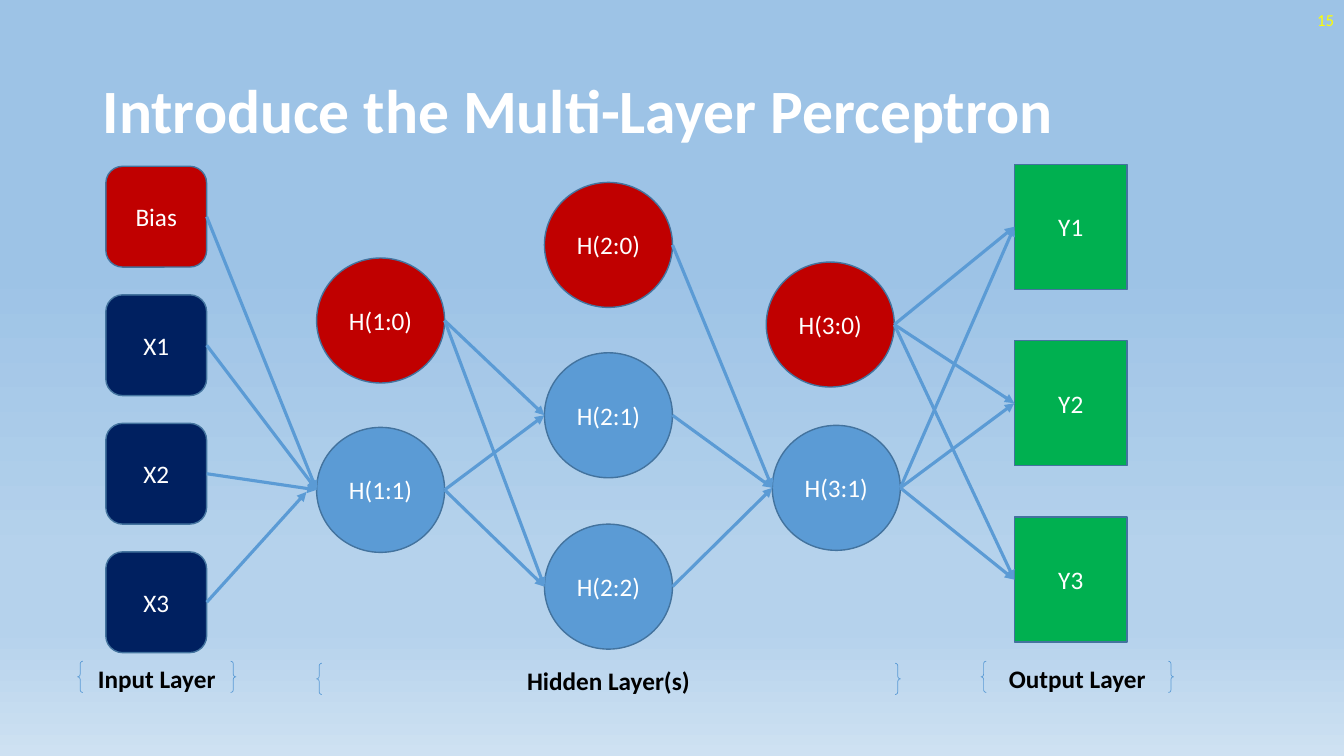
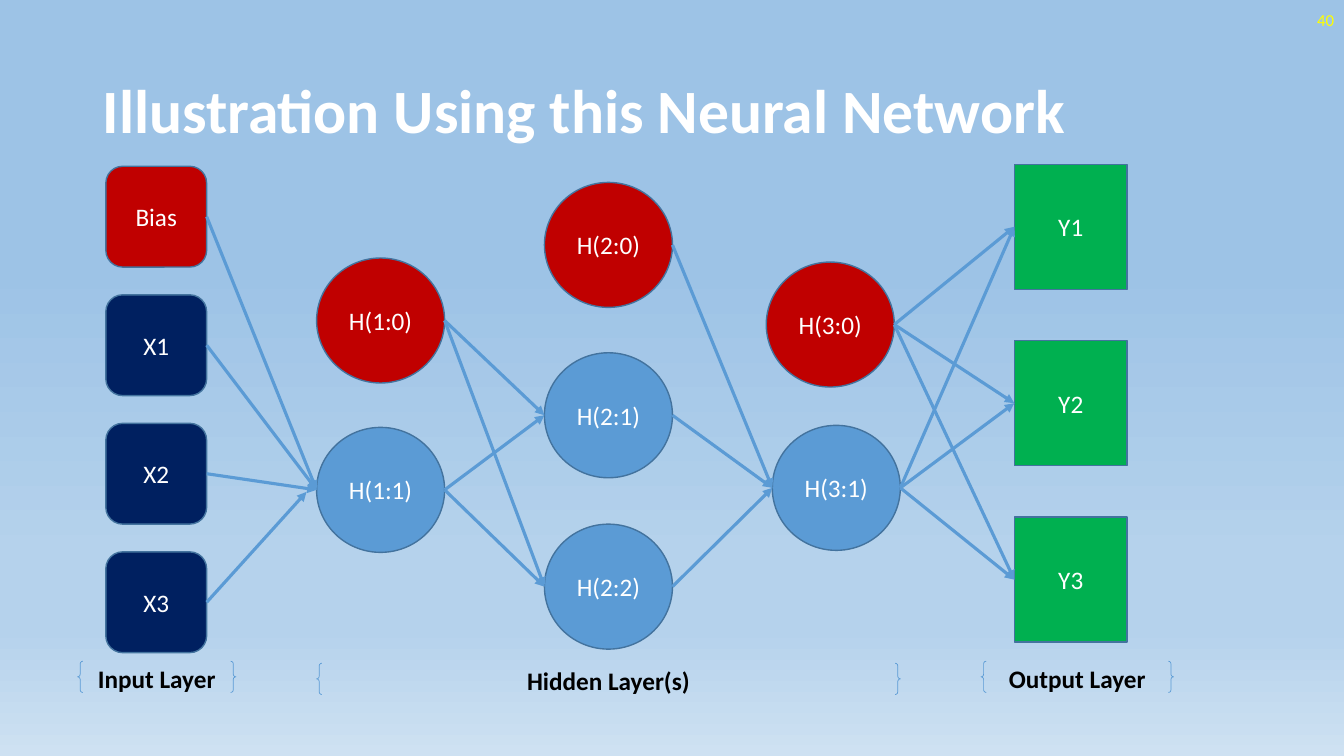
from pptx import Presentation
from pptx import util as u
from pptx.dml import color
from pptx.enum import shapes, text
from pptx.oxml import ns
from lxml import etree

FONT = "Calibri"
WHITE, BLACK, YELLOW = "FFFFFF", "000000", "FFFF00"
RED, NAVY, BLUE, GREEN = "C00000", "002060", "5B9BD5", "00B050"
OUTLINE = "43739E"
BACKGROUND = [(35, "9DC3E6"), (74, "B5D2EC"), (83, "B5D2EC"), (100, "CEE1F2")]

SHAPE = shapes.MSO_SHAPE
ALIGN = text.PP_ALIGN
LEFT_SIDE, RIGHT_SIDE = 1, 3

INPUTS = ["Bias", "X1", "X2", "X3"]
INPUT_TOP, INPUT_STEP = 1.65, 1.275
OUTPUTS = ["Y1", "Y2", "Y3"]
OUTPUT_TOP, OUTPUT_STEP = 1.63, 1.75
HIDDEN = {  # name: left, top
    "H(1:0)": (3.14, 2.56), "H(1:1)": (3.14, 4.24),
    "H(2:0)": (5.4, 1.81), "H(2:1)": (5.4, 3.5), "H(2:2)": (5.4, 5.2),
    "H(3:0)": (7.6, 2.6), "H(3:1)": (7.66, 4.22),
}
# Every source in a group feeds every target in it.
LINKS = [
    (INPUTS, ["H(1:1)"]),
    (["H(1:0)", "H(1:1)"], ["H(2:1)", "H(2:2)"]),
    (["H(2:0)", "H(2:1)", "H(2:2)"], ["H(3:1)"]),
    (["H(3:0)", "H(3:1)"], OUTPUTS),
]
LOOSE_ENDS = {"X3": (3.04, 4.88)}  # arrow that stops short of its target
LAYER_LABELS = [
    ("Input Layer", 0.77, 6.56, 1.57),
    ("Hidden Layer(s)", 3.14, 6.58, 5.79),
    ("Output Layer", 9.73, 6.56, 1.91),
]
SLIDES = [
    ("Introduce the Multi-Layer Perceptron", "15"),
    ("Illustration Using this Neural Network", "40"),
]


def rgb(value):
    return color.RGBColor.from_string(value)


def set_background(master):
    fill = master.background.fill
    fill.gradient()
    fill.gradient_angle = 270
    stops = master.element.find(".//" + ns.qn("a:gsLst"))
    for stop in list(stops):
        stops.remove(stop)
    for percent, value in BACKGROUND:
        stop = etree.SubElement(stops, ns.qn("a:gs"), pos=str(percent * 1000))
        etree.SubElement(stop, ns.qn("a:srgbClr"), val=value)


def write(box, words, size, value, align=ALIGN.CENTER, bold=False):
    frame = box.text_frame
    frame.word_wrap = True
    frame.vertical_anchor = text.MSO_ANCHOR.MIDDLE
    para = frame.paragraphs[0]
    para.text = words
    para.alignment = align
    font = para.font
    font.name, font.size, font.bold = FONT, u.Pt(size), bold
    font.color.rgb = rgb(value)
    return para


def add_text(page, bounds, *style, **options):
    box = page.shapes.add_textbox(*map(u.Inches, bounds))
    return write(box, *style, **options)


def add_outlined(page, kind, bounds, line, width):
    shape = page.shapes.add_shape(kind, *map(u.Inches, bounds))
    shape.shadow.inherit = False
    shape.line.color.rgb = rgb(line)
    shape.line.width = u.Pt(width)
    return shape


def add_node(page, name, kind, bounds, fill):
    node = add_outlined(page, kind, bounds, OUTLINE, 1)
    node.fill.solid()
    node.fill.fore_color.rgb = rgb(fill)
    write(node, name, 18, WHITE)
    return node


def add_layer_label(page, name, left, top, width):
    brace = add_outlined(page, SHAPE.DOUBLE_BRACE, (left, top, width, 0.31), BLUE, 0.5)
    brace.fill.background()
    write(brace, name, 18, BLACK, bold=True)


def add_arrow(page, source, target, tip=None):
    """Arrow from source's right side to target's left side, or to tip."""
    end = map(u.Inches, tip) if tip else (target.left, target.top + target.height // 2)
    arrow = page.shapes.add_connector(
        shapes.MSO_CONNECTOR.STRAIGHT,
        source.left + source.width, source.top + source.height // 2, *end)
    # Ellipses number their connection sites differently, so only boxes are joined.
    if source.auto_shape_type != SHAPE.OVAL:
        arrow.begin_connect(source, RIGHT_SIDE)
    if target.auto_shape_type != SHAPE.OVAL:
        arrow.end_connect(target, LEFT_SIDE)
    arrow.line.color.rgb = rgb(BLUE)
    arrow.line.width = u.Pt(2.25)
    properties = arrow.element.spPr
    etree.SubElement(properties.find(ns.qn("a:ln")), ns.qn("a:tailEnd"), type="triangle")
    etree.SubElement(properties, ns.qn("a:effectLst"))


def add_network(page):
    nodes = {}
    for row, name in enumerate(INPUTS):
        bounds = (1.05, INPUT_TOP + row * INPUT_STEP, 1, 1)
        fill = RED if name == "Bias" else NAVY
        nodes[name] = add_node(page, name, SHAPE.ROUNDED_RECTANGLE, bounds, fill)
    for name, corner in HIDDEN.items():
        fill = RED if name.endswith(":0)") else BLUE
        nodes[name] = add_node(page, name, SHAPE.OVAL, (*corner, 1.27, 1.24), fill)
    for row, name in enumerate(OUTPUTS):
        bounds = (10.06, OUTPUT_TOP + row * OUTPUT_STEP, 1.12, 1.24)
        nodes[name] = add_node(page, name, SHAPE.RECTANGLE, bounds, GREEN)
    for sources, targets in LINKS:
        for source in sources:
            for target in targets:
                add_arrow(page, nodes[source], nodes[target], LOOSE_ENDS.get(source))
    for label in LAYER_LABELS:
        add_layer_label(page, *label)


def add_page(deck, title, number):
    page = deck.slides.add_slide(deck.slide_layouts[6])
    heading = add_text(page, (0.92, 0.4, 11.5, 1.45), title, 44, WHITE,
                       align=ALIGN.LEFT, bold=True)
    heading.line_spacing = 0.9
    add_text(page, (10.33, 0, 3, 0.4), number, 12, YELLOW, align=ALIGN.RIGHT)
    add_network(page)


def main():
    deck = Presentation()
    deck.slide_width, deck.slide_height = u.Inches(13.33), u.Inches(7.5)
    set_background(deck.slide_master)
    for title, number in SLIDES:
        add_page(deck, title, number)
    deck.save("out.pptx")


if __name__ == "__main__":
    main()
